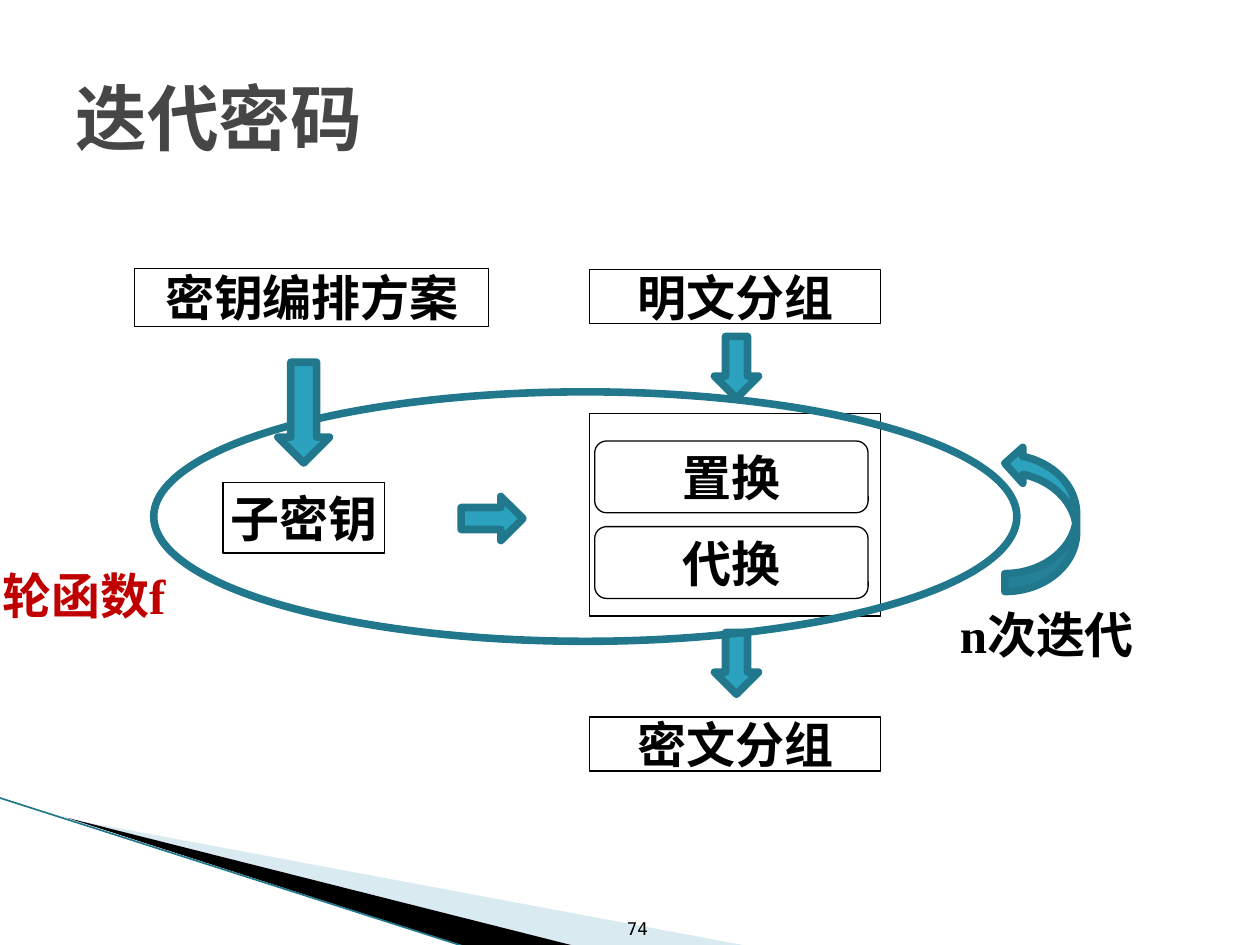
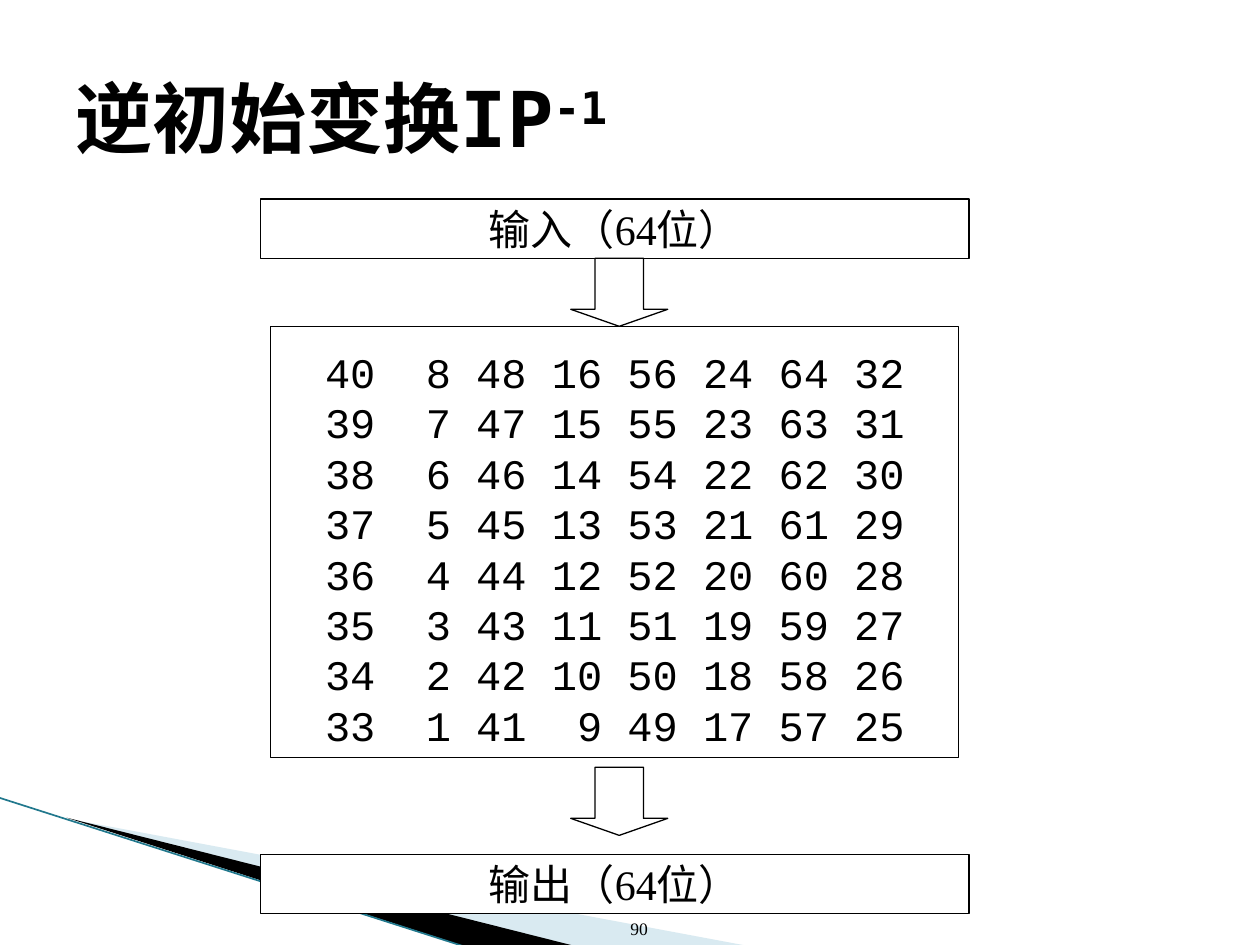
from dataclasses import dataclass
from pptx import Presentation, util as u
from pptx.dml.color import RGBColor
from pptx.enum import shapes, text
from pptx.oxml import parse_xml
from pptx.oxml.ns import nsdecls, qn

KIND = shapes.MSO_SHAPE
ALIGN = text.PP_ALIGN
ANCHOR = text.MSO_ANCHOR


@dataclass(frozen=True)
class Theme:
    black: str = "000000"
    white: str = "FFFFFF"
    gray: str = "464646"
    red: str = "C00000"
    teal: str = "2DA2BF"
    dark: str = "21788D"
    pale: str = "A0CBDC"
    serif: str = "Times New Roman"
    sans: str = "DejaVu Sans Mono"
    mono: str = "Courier New"
    thin: float = 0.75
    thick: float = 4.33
    edge: float = 0.95
    small: int = 10
    body: int = 24
    label: int = 28
    head: int = 41
    large: int = 44


T = Theme()

PLAIN = dict(fill=T.white, line=T.black, width=T.thin)
BOLD = dict(fill=T.teal, line=T.dark, width=T.thick)
RING = dict(fill=None, line=T.dark, width=T.thick)

LABEL = dict(name=T.serif, size=T.label, bold=True, color=T.black)
NOTE = {**LABEL, "color": T.red}
BODY = dict(name=T.serif, size=T.body, bold=False, color=T.black)
GRID = {**BODY, "name": T.mono}
HEAD = dict(name=T.sans, size=T.head, bold=True, color=T.gray)
LARGE = {**HEAD, "size": T.large, "color": T.black}
FOOT = dict(name=T.sans, size=T.small, bold=False, color=T.black)
FOOT_SERIF = {**FOOT, "name": T.serif}

WEDGES = [
    ([(0.55, 6.5), (5.95, 7.51), (4.56, 7.51)], T.pale, 40),
    ([(0.53, 6.49), (4.57, 7.51), (3.72, 7.52)], T.black, 100),
]
EDGE = (-0.01, 6.33, 3.71, 7.52)

DATA_X, DATA_W = 4.68, 2.31
STEPS = ["置换", "代换"]
BLOCKS = [("明文分组", 2.14), ("密文分组", 5.69)]
KEYS = [
    ("子密钥", (1.77, 3.83, 1.28, 0.56)),
    ("密钥编排方案", (1.07, 2.13, 2.81, 0.46)),
]
ARROWS = [
    (KIND.CURVED_UP_ARROW, (7.68, 3.83, 1.16, 0.57), 270),
    (KIND.RIGHT_ARROW, (3.66, 3.94, 0.49, 0.35), 0),
    (KIND.RIGHT_ARROW, (5.6, 2.74, 0.49, 0.35), 90),
    (KIND.RIGHT_ARROW, (5.6, 5.09, 0.49, 0.35), 90),
]
KEY_ARROW = (KIND.RIGHT_ARROW, (2.01, 3.07, 0.8, 0.41), 90)

PORTS = [("输入（64位）", 1.58), ("输出（64位）", 6.78)]
FLOWS = [2.05, 6.09]
FIRST = [40, 8, 48, 16, 56, 24, 64, 32]
ROWS = [[num - row for num in FIRST] for row in range(8)]
TAB, STEP, PITCH = 0.83, 0.6, 28.8


def rgb(code):
    return RGBColor.from_string(code)


def inch(vals):
    return [u.Inches(val) for val in vals]


def style(font, fmt):
    vals = {**fmt, "size": u.Pt(fmt["size"])}
    font.color.rgb = rgb(vals.pop("color"))
    for key, val in vals.items():
        setattr(font, key, val)


def paint(shape, fill, line=None, width=0):
    shape.shadow.inherit = False
    if fill:
        shape.fill.solid()
        shape.fill.fore_color.rgb = rgb(fill)
    else:
        shape.fill.background()
    if line:
        shape.line.color.rgb = rgb(line)
        shape.line.width = u.Pt(width)
    else:
        shape.line.fill.background()


def write(shape, words, fmt, align=ALIGN.LEFT, anchor=ANCHOR.TOP, wrap=True):
    frame = shape.text_frame
    for key, val in dict(word_wrap=wrap, vertical_anchor=anchor).items():
        setattr(frame, key, val)
    para = frame.paragraphs[0]
    para.alignment = align
    run = para.add_run()
    run.text = words
    style(run.font, fmt)
    return para


def note(slide, words, box, fmt, **opts):
    shape = slide.shapes.add_textbox(*inch(box))
    return write(shape, words, fmt, **opts)


def draw(slide, kind, box, look, turn=0):
    shape = slide.shapes.add_shape(kind, *inch(box))
    shape.rotation = turn
    paint(shape, **look)
    return shape


def label(slide, words, box, fmt, kind=KIND.RECTANGLE):
    shape = draw(slide, kind, box, PLAIN)
    write(shape, words, fmt, ALIGN.CENTER, ANCHOR.MIDDLE, False)


def frame(deck, title, head, page, foot):
    slide = deck.slides.add_slide(deck.slide_layouts[6])
    for pts, fill, alpha in WEDGES:
        pts = [inch(pt) for pt in pts]
        path = slide.shapes.build_freeform(*pts[0])
        path.add_line_segments(pts[1:])
        shape = path.convert_to_shape()
        paint(shape, fill)
        if alpha < 100:
            tint = shape._element.spPr.find(qn("a:solidFill"))[0]
            tint.append(parse_xml(
                f'<a:alpha {nsdecls("a")} val="{alpha * 1000}"/>'))
    edge = slide.shapes.add_connector(
        shapes.MSO_CONNECTOR.STRAIGHT, *inch(EDGE))
    edge.line.color.rgb = rgb(T.dark)
    edge.line.width = u.Pt(T.edge)
    edge._element.spPr.append(parse_xml(f'<a:effectLst {nsdecls("a")}/>'))
    note(slide, page, (4.68, 7.01, 0.56, 0.49), foot,
         align=ALIGN.RIGHT, anchor=ANCHOR.BOTTOM)
    para = note(slide, title, (0.5, 0.3, 9, 1.25), head, anchor=ANCHOR.MIDDLE)
    return slide, para


def cipher(deck):
    slide, _ = frame(deck, "迭代密码", HEAD, "74", FOOT)
    draw(slide, KIND.RECTANGLE, (DATA_X, 3.28, DATA_W, 1.61), PLAIN)
    for words, top in BLOCKS:
        label(slide, words, (DATA_X, top, DATA_W, 0.43), LABEL)
    for pos, words in enumerate(STEPS):
        box = (DATA_X + 0.04, 3.5 + 0.68 * pos, 2.17, 0.57)
        label(slide, words, box, LABEL, KIND.ROUNDED_RECTANGLE)
    note(slide, "n次迭代", (7.52, 4.75, 1.6, 0.57), LABEL)
    for words, box in KEYS:
        label(slide, words, box, LABEL)
    for kind, box, turn in ARROWS:
        draw(slide, kind, box, BOLD, turn)
    draw(slide, KIND.OVAL, (1.22, 3.11, 6.85, 1.98), RING)
    note(slide, "轮函数f", (-0.08, 4.44, 1.7, 0.57), NOTE)
    kind, box, turn = KEY_ARROW
    draw(slide, kind, box, BOLD, turn)


def matrix(slide):
    shape = draw(slide, KIND.RECTANGLE, (2.15, 2.59, 5.46, 3.42), PLAIN)
    body = shape.text_frame
    sides = dict(margin_left=0, margin_right=0, margin_top=0.1,
                 margin_bottom=0)
    for key, val in sides.items():
        setattr(body, key, u.Inches(val))
    body.word_wrap = True
    body.vertical_anchor = ANCHOR.MIDDLE
    stops = "".join(
        f'<a:tab pos="{u.Inches(TAB + STEP * col)}" algn="r"/>'
        for col in range(len(FIRST)))
    for pos, row in enumerate(ROWS):
        para = body.add_paragraph() if pos else body.paragraphs[0]
        para._p.get_or_add_pPr().append(parse_xml(
            f'<a:tabLst {nsdecls("a")}>{stops}</a:tabLst>'))
        para.alignment = ALIGN.LEFT
        para.line_spacing = u.Pt(PITCH)
        run = para.add_run()
        run.text = "".join(f"\t{num}" for num in row)
        style(run.font, GRID)


def inverse(deck):
    slide, para = frame(deck, "逆初始变换IP", LARGE, "90", FOOT_SERIF)
    power = para.add_run()
    power.text = "-1"
    style(power.font, LARGE)
    power._r.get_or_add_rPr().set("baseline", "30000")
    label(slide, PORTS[0][0], (2.07, PORTS[0][1], 5.62, 0.47), BODY)
    matrix(slide)
    label(slide, PORTS[1][0], (2.07, PORTS[1][1], 5.62, 0.47), BODY)
    for top in FLOWS:
        arrow = draw(slide, KIND.DOWN_ARROW, (4.53, top, 0.77, 0.54), PLAIN)
        arrow.adjustments[1] = 0.25


def main():
    deck = Presentation()
    deck.slide_width, deck.slide_height = inch((10, 7.5))
    cipher(deck)
    inverse(deck)
    deck.save("out.pptx")


if __name__ == "__main__":
    main()
